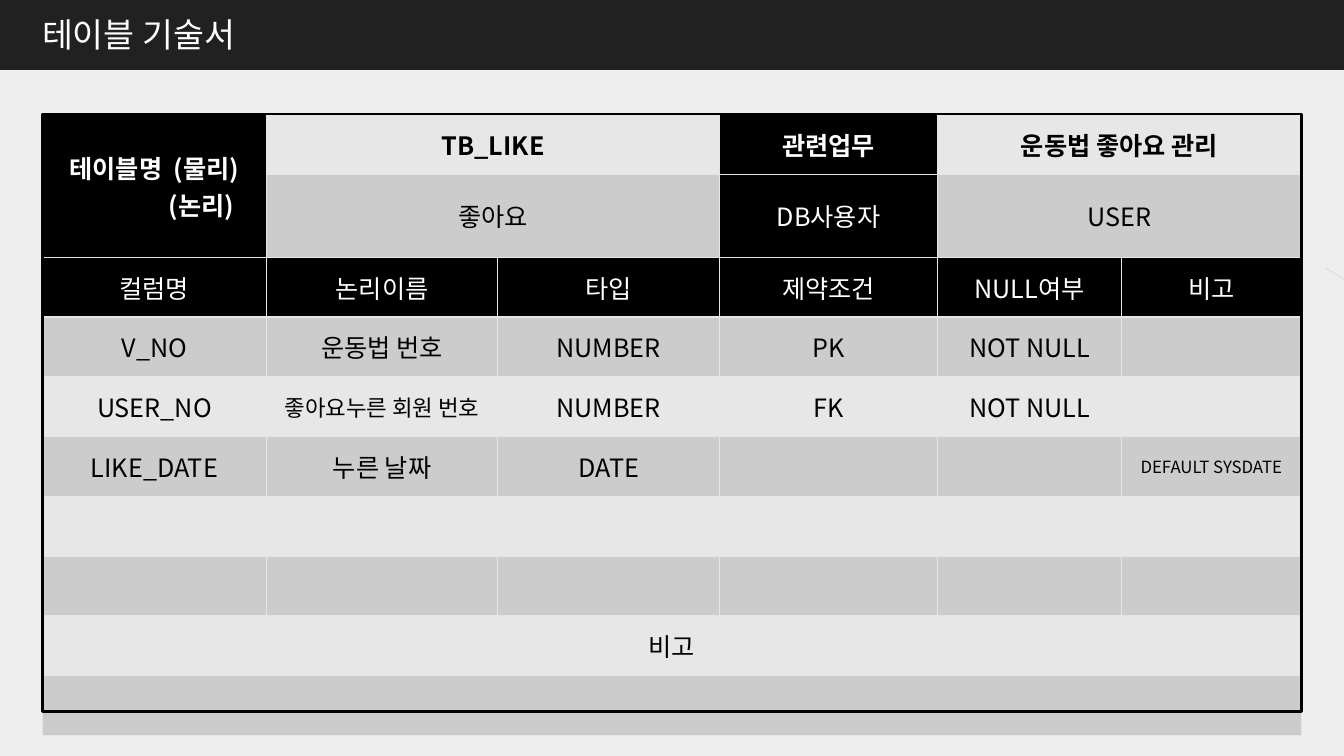
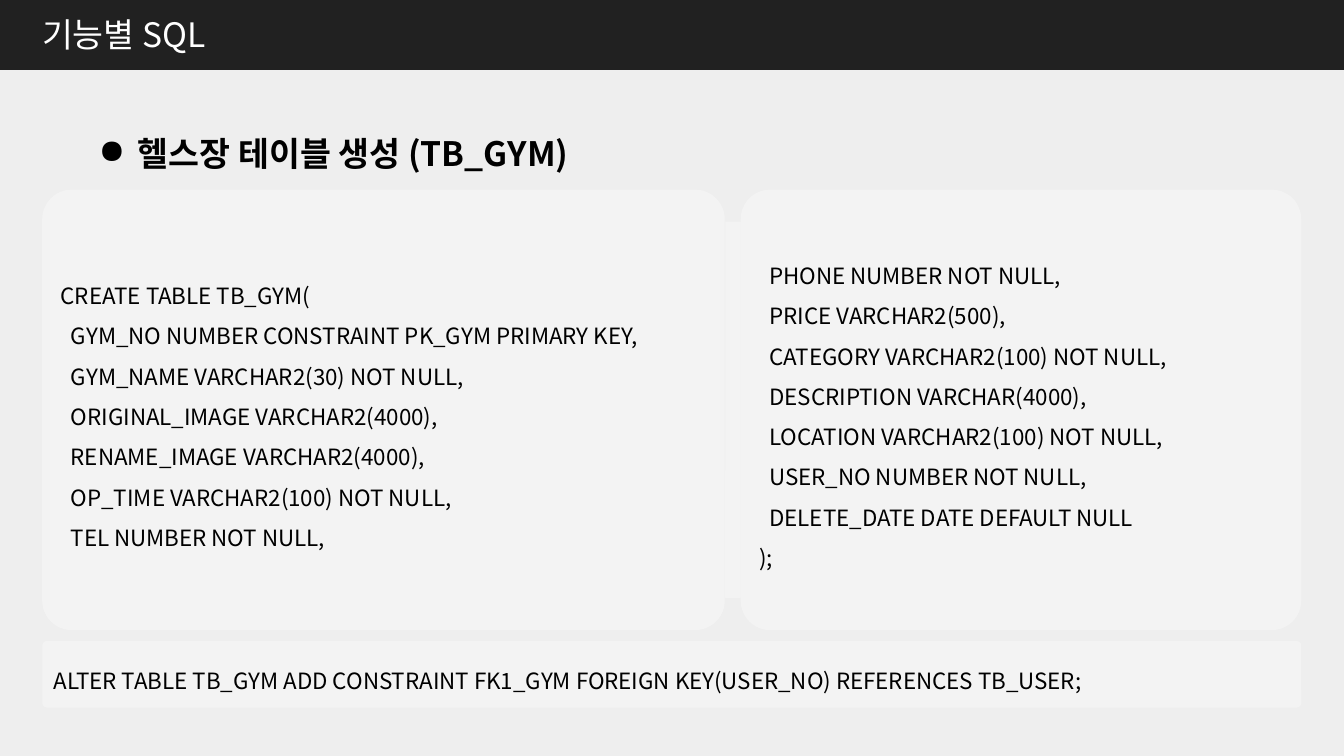
from dataclasses import dataclass

from lxml.etree import SubElement
from pptx import Presentation
from pptx.dml.color import RGBColor
from pptx.enum.shapes import MSO_CONNECTOR, MSO_SHAPE
from pptx.enum.text import MSO_ANCHOR, PP_ALIGN
from pptx.oxml.ns import qn
from pptx.util import Pt


@dataclass(frozen=True)
class Theme:
    font: str = "Noto Sans CJK KR"
    background: str = "EEEEEE"
    band: str = "212121"
    black: str = "000000"
    white: str = "FFFFFF"
    light_row: str = "E7E7E7"
    dark_row: str = "CCCCCC"
    grid: str = "E7E6E6"
    accent_line: str = "D9D9D9"
    panel_opacity: int = 34
    title_size: float = 24
    table_size: float = 18
    code_size: float = 16
    note_size: float = 12


THEME = Theme()
PAGE_WIDTH, PAGE_HEIGHT = 960, 540
MARGIN = 30.2
CONTENT_WIDTH = 899.3


@dataclass(frozen=True)
class Line:
    text: str
    indent: float = 0


@dataclass(frozen=True)
class Entry:
    """Text of one table cell, with its row and column span."""
    row: int
    column: int
    text: str
    rows: int = 1
    columns: int = 1
    size: float = THEME.table_size
    label: bool = False
    indent: float = 0  # of the second line


@dataclass(frozen=True)
class Panel:
    left: float
    top: float
    width: float
    height: float
    lines: tuple[Line, ...] = ()


def rgb(value: str) -> RGBColor:
    return RGBColor.from_string(value)


# Text
def write_text(frame, lines, *, size: float, color: str = THEME.black,
               bold: bool = False, align=PP_ALIGN.LEFT,
               spacing: float = 1.0, bullet: str = "", hanging: float = 0) -> None:
    for index, line in enumerate(lines):
        para = frame.paragraphs[0] if index == 0 else frame.add_paragraph()
        para.alignment = align
        para.line_spacing = spacing
        properties = para._p.get_or_add_pPr()
        if line.indent or hanging:
            properties.set("marL", str(Pt(line.indent + hanging)))
            properties.set("indent", str(Pt(-hanging)))
        if bullet:
            SubElement(properties, qn("a:buChar"), char=bullet)
        span = para.add_run()
        span.text = line.text
        span.font.name = THEME.font
        span.font.size = Pt(size)
        span.font.bold = bold
        span.font.color.rgb = rgb(color)
        SubElement(span._r.get_or_add_rPr(), qn("a:ea"), typeface=THEME.font)


def add_text(page, left: float, top: float, width: float, text: str, **style) -> None:
    box = page.shapes.add_textbox(Pt(left), Pt(top), Pt(width), Pt(36))
    box.text_frame.word_wrap = True
    write_text(box.text_frame, [Line(text)], size=THEME.title_size, **style)


# Shapes
def add_box(page, kind, left: float, top: float, width: float, height: float, *,
            fill: str = "", line: str = "", line_width: float = 0):
    box = page.shapes.add_shape(kind, Pt(left), Pt(top), Pt(width), Pt(height))
    box.shadow.inherit = False
    if fill:
        box.fill.solid()
        box.fill.fore_color.rgb = rgb(fill)
    else:
        box.fill.background()
    if line:
        box.line.color.rgb = rgb(line)
        box.line.width = Pt(line_width)
    else:
        box.line.fill.background()
    return box


def add_panel(page, panel: Panel) -> None:
    box = add_box(page, MSO_SHAPE.ROUNDED_RECTANGLE, panel.left, panel.top,
                  panel.width, panel.height, fill=THEME.white)
    box.adjustments[0] = 0.067
    color = box._element.spPr.find(qn("a:solidFill"))[0]
    SubElement(color, qn("a:alpha"), val=str(THEME.panel_opacity * 1000))
    if panel.lines:
        box.text_frame.vertical_anchor = MSO_ANCHOR.MIDDLE
        write_text(box.text_frame, panel.lines, size=THEME.code_size, spacing=1.5)


def add_accent_line(page) -> None:
    accent = page.shapes.add_connector(
        MSO_CONNECTOR.STRAIGHT, Pt(946.8), Pt(191.5), Pt(PAGE_WIDTH), Pt(199.2))
    accent.line.color.rgb = rgb(THEME.accent_line)
    accent.line.width = Pt(0.5)
    SubElement(accent._element.spPr, qn("a:effectLst"))


# Table
def style_cell(cell, fill: str) -> None:
    properties = cell._tc.get_or_add_tcPr()
    for side in ("lnL", "lnR", "lnT", "lnB"):
        border = SubElement(properties, qn(f"a:{side}"), w=str(Pt(1)))
        SubElement(SubElement(border, qn("a:solidFill")), qn("a:srgbClr"), val=THEME.grid)
    cell.fill.solid()
    cell.fill.fore_color.rgb = rgb(fill)
    cell.vertical_anchor = MSO_ANCHOR.MIDDLE


def add_definition_table(page, top: float, widths, heights, entries) -> None:
    table = page.shapes.add_table(len(heights), len(widths), Pt(MARGIN), Pt(top),
                                  Pt(sum(widths)), Pt(sum(heights))).table
    table.first_row = table.horz_banding = False
    for column, width in zip(table.columns, widths):
        column.width = Pt(width)
    for row, height in zip(table.rows, heights):
        row.height = Pt(height)

    labels = {(entry.row, entry.column) for entry in entries if entry.label}
    for row in range(len(heights)):
        stripe = THEME.dark_row if row % 2 else THEME.light_row
        for column in range(len(widths)):
            fill = THEME.black if (row, column) in labels else stripe
            style_cell(table.cell(row, column), fill)

    for entry in entries:
        cell = table.cell(entry.row, entry.column)
        if entry.rows > 1 or entry.columns > 1:
            cell.merge(table.cell(entry.row + entry.rows - 1,
                                  entry.column + entry.columns - 1))
        if entry.text:
            lines = [Line(text, entry.indent if index else 0)
                     for index, text in enumerate(entry.text.split("\n"))]
            write_text(cell.text_frame, lines, size=entry.size,
                       color=THEME.white if entry.label else THEME.black,
                       bold=entry.row == 0, align=PP_ALIGN.CENTER)


# Pages
def add_page(deck):
    page = deck.slides.add_slide(deck.slide_layouts[6])
    page.background.fill.solid()
    page.background.fill.fore_color.rgb = rgb(THEME.background)
    return page


def add_title_band(page, title: str) -> None:
    add_box(page, MSO_SHAPE.RECTANGLE, 0, 0, PAGE_WIDTH, 50, fill=THEME.band)
    add_text(page, 23, 6.5, 460, title, color=THEME.white)


def build_table_page(deck) -> None:
    page = add_page(deck)
    add_accent_line(page)
    add_title_band(page, "테이블 기술서")

    headings = ("컬럼명", "논리이름", "타입", "제약조건", "NULL여부", "비고")
    records = (
        ("V_NO", "운동법 번호", "NUMBER", "PK", "NOT NULL", ""),
        ("USER_NO", "좋아요누른 회원 번호", "NUMBER", "FK", "NOT NULL", ""),
        ("LIKE_DATE", "누른 날짜", "DATE", "", "", "DEFAULT SYSDATE"),
    )
    sizes = {"좋아요누른 회원 번호": THEME.code_size, "DEFAULT SYSDATE": THEME.note_size}
    entries = [
        Entry(0, 0, "테이블명  (물리)\n(논리)", rows=2, label=True, indent=67),
        Entry(0, 1, "TB_LIKE", columns=2),
        Entry(0, 3, "관련업무", label=True),
        Entry(0, 4, "운동법 좋아요 관리", columns=2),
        Entry(1, 1, "좋아요", columns=2),
        Entry(1, 3, "DB사용자", label=True),
        Entry(1, 4, "USER", columns=2),
        Entry(8, 0, "비고", columns=6),
        Entry(9, 0, "", columns=6),
    ]
    entries += [Entry(2, column, text, label=True) for column, text in enumerate(headings)]
    entries += [Entry(row, column, text, size=sizes.get(text, THEME.table_size))
                for row, record in enumerate(records, start=3)
                for column, text in enumerate(record)]

    row_height = 42.7
    heights = [row_height, 59] + [row_height] * 8
    add_definition_table(page, 82, (160.2, 165, 158.8, 155.5, 131.6, 128.2),
                         heights, entries)
    add_box(page, MSO_SHAPE.RECTANGLE, MARGIN, 81.5, CONTENT_WIDTH, 427,
            line=THEME.black, line_width=2)


def build_sql_page(deck) -> None:
    page = add_page(deck)
    add_title_band(page, "기능별 SQL")
    add_text(page, 63.4, 91.4, 420, "헬스장 테이블 생성 (TB_GYM)",
             bold=True, bullet="●", hanging=28)

    first_fields = (
        "GYM_NO NUMBER CONSTRAINT PK_GYM PRIMARY KEY,",
        "GYM_NAME VARCHAR2(30) NOT NULL,",
        "ORIGINAL_IMAGE VARCHAR2(4000),",
        "RENAME_IMAGE VARCHAR2(4000),",
        "OP_TIME VARCHAR2(100) NOT NULL,",
        "TEL NUMBER NOT NULL,",
    )
    last_fields = (
        "PHONE NUMBER NOT NULL,",
        "PRICE VARCHAR2(500),",
        "CATEGORY VARCHAR2(100) NOT NULL,",
        "DESCRIPTION VARCHAR(4000),",
        "LOCATION VARCHAR2(100) NOT NULL,",
        "USER_NO NUMBER NOT NULL,",
        "DELETE_DATE DATE DEFAULT NULL",
    )
    field_indent = 7.2
    first_lines, last_lines = (tuple(Line(text, field_indent) for text in fields)
                               for fields in (first_fields, last_fields))
    alter = Line("ALTER TABLE TB_GYM ADD CONSTRAINT FK1_GYM FOREIGN KEY(USER_NO) "
                 "REFERENCES TB_USER;")

    # Two code panels joined by a narrow bridge, above the closing statement
    top, height, bridge, bridge_inset = 135.5, 314.6, 11, 22.8
    left_width = 487.5
    bridge_left = MARGIN + left_width + 0.4
    right_left = bridge_left + bridge
    for panel in (
        Panel(MARGIN, 457.9, CONTENT_WIDTH, 47.5, (alter,)),
        Panel(MARGIN, top, left_width, height,
              (Line("CREATE TABLE TB_GYM("), *first_lines)),
        Panel(right_left, top, MARGIN + CONTENT_WIDTH - right_left, height,
              (*last_lines, Line(");"))),
        Panel(bridge_left, top + bridge_inset, bridge, height - 2 * bridge_inset),
    ):
        add_panel(page, panel)


def main() -> None:
    deck = Presentation()
    deck.slide_width, deck.slide_height = Pt(PAGE_WIDTH), Pt(PAGE_HEIGHT)
    build_table_page(deck)
    build_sql_page(deck)
    deck.save("out.pptx")


if __name__ == "__main__":
    main()
